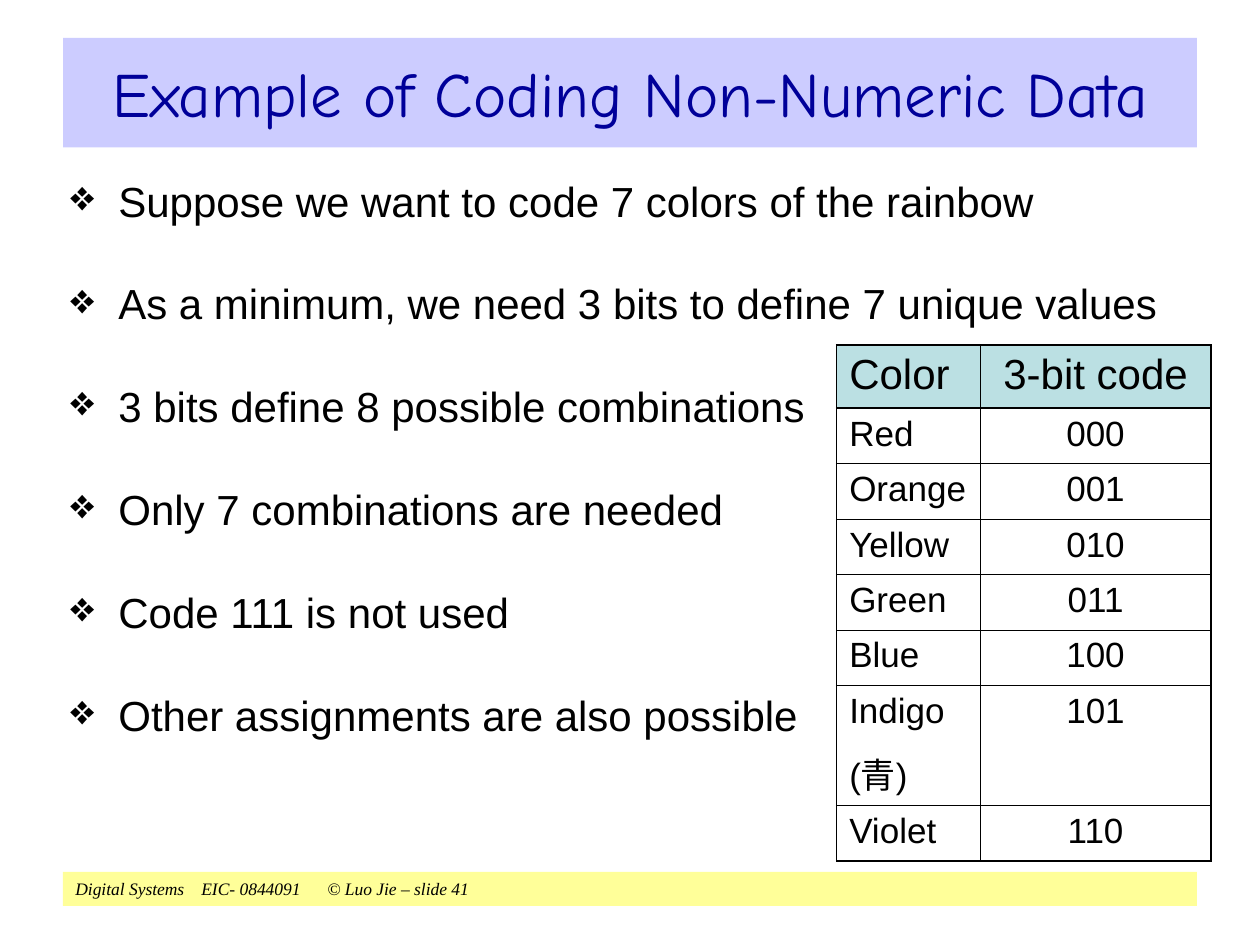
from pptx import Presentation
from pptx.dml.color import RGBColor as RGB
from pptx.enum.shapes import MSO_SHAPE as Shape
from pptx.enum.text import MSO_ANCHOR as Anchor, MSO_AUTO_SIZE as Auto, PP_ALIGN as Align
from pptx.oxml import parse_xml
from pptx.oxml.ns import nsdecls
from pptx.util import Inches, Pt

COLORS = {"ink": "000000", "navy": "000099", "lilac": "CCCCFF",
          "cream": "FFFF99", "teal": "BBE0E3"}
TITLE = "Example of Coding Non-Numeric Data"
FOOTER = "Digital Systems\tEIC- 0844091\t© Luo Jie – slide 41"
POINTS = ["Suppose we want to code 7 colors of the rainbow",
          "As a minimum, we need 3 bits to define 7 unique values",
          "3 bits define 8 possible combinations",
          "Only 7 combinations are needed",
          "Code 111 is not used",
          "Other assignments are also possible"]
NAMES = ["Red", "Orange", "Yellow", "Green", "Blue", "Indigo\n(青)", "Violet"]
CODES = [("Color", "3-bit code")] + [(name, f"{i:03b}") for i, name in enumerate(NAMES)]


def paint(fill, color):
    fill.solid()
    fill.fore_color.rgb = RGB.from_string(COLORS[color])


def style(par, size, face="Arial", color="ink", before=0, align=Align.LEFT):
    par.font.size, par.font.name = Pt(size), face
    par.font.color.rgb = RGB.from_string(COLORS[color])
    par.space_before, par.alignment = Pt(before), align


def place(shape, box):
    shape.left, shape.top, shape.width, shape.height = map(Inches, box)


def pad(frame, side):
    frame.margin_left = frame.margin_right = Inches(side)
    frame.margin_top = frame.margin_bottom = Inches(0.05)
    frame.word_wrap, frame.auto_size = True, Auto.NONE


def add_title(slide, box):
    title = slide.shapes.title
    place(title, box)
    paint(title.fill, "lilac")
    frame = title.text_frame
    frame.text = TITLE
    pad(frame, 0)
    frame.vertical_anchor = Anchor.MIDDLE
    style(frame.paragraphs[0], 36, "Comic Neue", "navy", align=Align.CENTER)


def add_footer(slide, box):
    bar = slide.shapes.add_shape(Shape.RECTANGLE, *map(Inches, box))
    bar.shadow.inherit = False
    paint(bar.fill, "cream")
    bar.line.fill.background()
    frame = bar.text_frame
    frame.text = FOOTER
    pad(frame, 0.1)
    frame.vertical_anchor = Anchor.TOP
    par = frame.paragraphs[0]
    style(par, 10, "Times New Roman", before=6.2)
    par.font.italic = True


def add_points(slide, box):
    frame = slide.shapes.add_textbox(*map(Inches, box)).text_frame
    frame.text = "\n".join(POINTS)
    pad(frame, 0)
    for par in frame.paragraphs:
        style(par, 24, before=30)
        props = par._p.get_or_add_pPr()
        props.set("marL", str(Inches(0.38)))
        props.set("indent", str(Inches(-0.38)))
        props.append(parse_xml(f'<a:buChar {nsdecls("a")} char="❖"/>'))


def edge(cell, sides):
    props = cell._tc.get_or_add_tcPr()
    for i, (side, width) in enumerate(sides.items()):
        props.insert(i, parse_xml(
            f'<a:ln{side} {nsdecls("a")} w="{Pt(width)}"><a:solidFill>'
            f'<a:srgbClr val="{COLORS["ink"]}"/></a:solidFill></a:ln{side}>'))


def add_codes(slide, box):
    last = len(CODES) - 1
    table = slide.shapes.add_table(len(CODES), 2, *map(Inches, box)).table
    table.first_row = table.horz_banding = False
    for col, width in zip(table.columns, (1.14, 1.83)):
        col.width = Inches(width)
    thick, thin = 1.08, 0.45
    for r, pair in enumerate(CODES):
        head = r == 0
        table.rows[r].height = Inches(0.5 if head else 0.95 if "\n" in pair[0] else 0.44)
        for c, text in enumerate(pair):
            cell = table.cell(r, c)
            cell.text = text
            for par in cell.text_frame.paragraphs:
                style(par, 24 if head else 20, before=12 if head else 10,
                      align=Align.CENTER if c else Align.LEFT)
            if head:
                paint(cell.fill, "teal")
            else:
                cell.fill.background()
            edge(cell, {"L": thin if c else thick, "R": thick if c else thin,
                        "T": thick if r < 2 else thin,
                        "B": thick if r in (0, last) else thin})


def main():
    deck = Presentation()
    deck.slide_width, deck.slide_height = Inches(10), Inches(7.5)
    slide = deck.slides.add_slide(deck.slide_layouts[5])
    add_footer(slide, (0.5, 6.92, 9, 0.27))
    add_points(slide, (0.56, 1.34, 8.94, 5.48))
    add_title(slide, (0.5, 0.3, 9, 0.87))
    add_codes(slide, (6.64, 2.74, 2.97, 4.09))
    deck.save("out.pptx")


if __name__ == "__main__":
    main()
